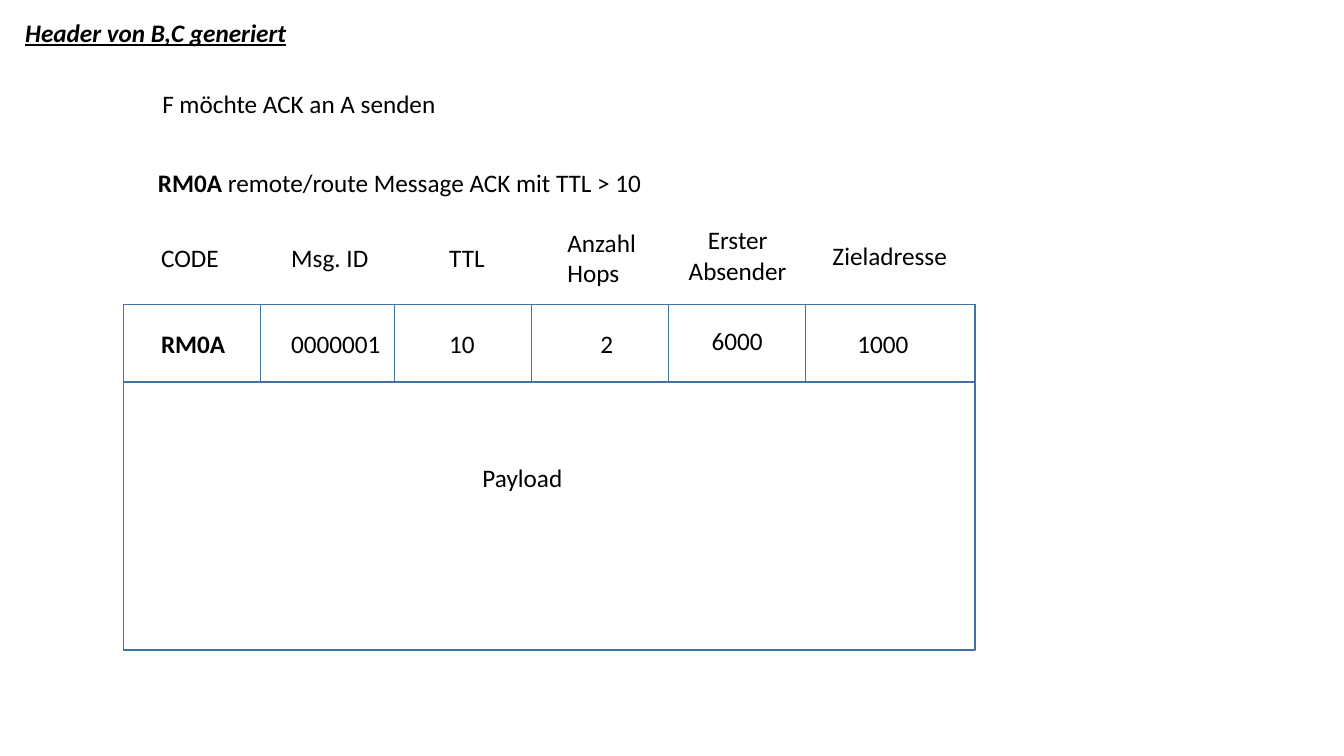
import pptx
import pptx.util
import pptx.dml.color
import pptx.enum.shapes
import pptx.enum.text

COLOURS = {"border": "43739E", "text": "000000"}
ALIGN = pptx.enum.text.PP_ALIGN


def cm(*lengths):
    return [pptx.util.Cm(length) for length in lengths]


def colour(name):
    return pptx.dml.color.RGBColor.from_string(COLOURS[name])


def write(paragraph, text, bold=False, italic=False, underline=False, align=ALIGN.LEFT):
    paragraph.alignment = align
    run = paragraph.add_run()
    run.text = text
    font = run.font
    font.name, font.size = "Calibri", pptx.util.Pt(18)
    font.bold, font.italic, font.underline = bold, italic, underline
    font.color.rgb = colour("text")


class MessageSlide:
    line_width = pptx.util.Pt(1)
    text_height = 1.02

    def __init__(self, presentation):
        self.slide = presentation.slides.add_slide(presentation.slide_layouts[5])

    def title(self, text, left, top, width):
        heading = self.slide.shapes.title
        heading.left, heading.top, heading.width, heading.height = cm(left, top, width, self.text_height)
        frame = heading.text_frame
        frame.auto_size = pptx.enum.text.MSO_AUTO_SIZE.NONE
        frame.vertical_anchor = pptx.enum.text.MSO_ANCHOR.TOP
        write(frame.paragraphs[0], text, bold=True, italic=True, underline=True)

    def box(self, left, top, width, height):
        field = self.slide.shapes.add_shape(
            pptx.enum.shapes.MSO_SHAPE.RECTANGLE, *cm(left, top, width, height))
        field.shadow.inherit = False
        field.fill.background()
        field.line.color.rgb = colour("border")
        field.line.width = self.line_width

    def label(self, lines, left, top, width, wrap=False, **style):
        """Each line is a list of (text, bold) parts."""
        height = self.text_height + 0.78 * (len(lines) - 1)
        frame = self.slide.shapes.add_textbox(*cm(left, top, width, height)).text_frame
        frame.word_wrap = wrap
        frame.auto_size = pptx.enum.text.MSO_AUTO_SIZE.SHAPE_TO_FIT_TEXT
        for index, parts in enumerate(lines):
            paragraph = frame.add_paragraph() if index else frame.paragraphs[0]
            for text, bold in parts:
                write(paragraph, text, bold=bold, **style)


def main():
    presentation = pptx.Presentation()
    presentation.slide_width, presentation.slide_height = cm(33.87, 19.05)
    message = MessageSlide(presentation)

    # Heading and explanation
    message.title("Header von B,C generiert", 0.38, 0.3, 8.33)
    message.label([[("F möchte ACK an A senden", False)]], 3.84, 2.11, 12.24, wrap=True)
    message.label([[("RM0A ", True), ("remote/route Message ACK mit TTL > 10", False)]],
                  3.73, 4.09, 14.71, wrap=True)

    # Message frame, header row and header fields
    left, top, header_height = 3.12, 7.67, 1.96
    field_widths = [3.45, 3.38, 3.45, 3.45, 3.45, 4.27]
    message.box(left, top, sum(field_widths), 8.71)
    message.box(left, top, sum(field_widths), header_height)
    field_left = left
    for width in field_widths:
        message.box(field_left, top, width, header_height)
        field_left += width

    # Field names above the header: lines, left, top, width, alignment
    names = [
        (["CODE"], 3.81, 5.99, 1.98, ALIGN.LEFT),
        (["Msg. ID"], 7.09, 5.99, 2.49, ALIGN.LEFT),
        (["TTL"], 11.07, 5.99, 1.42, ALIGN.LEFT),
        (["Anzahl", "Hops"], 14.05, 5.61, 2.26, ALIGN.LEFT),
        (["Erster", "Absender"], 17.09, 5.54, 3.0, ALIGN.CENTER),
        (["Zieladresse"], 20.73, 5.92, 3.43, ALIGN.LEFT),
    ]
    # Field values and payload
    values = [
        (["RM0A"], 3.81, 8.15, 2.16, ALIGN.LEFT),
        (["0000001"], 7.09, 8.15, 2.79, ALIGN.LEFT),
        (["10"], 11.07, 8.15, 1.17, ALIGN.LEFT),
        (["2"], 14.88, 8.15, 0.84, ALIGN.LEFT),
        (["6000"], 17.68, 8.08, 1.8, ALIGN.CENTER),
        (["1000"], 21.36, 8.15, 1.8, ALIGN.LEFT),
        (["Payload"], 11.91, 11.53, 2.54, ALIGN.LEFT),
    ]
    for lines, label_left, label_top, width, align in names + values:
        message.label([[(line, line == "RM0A")] for line in lines],
                      label_left, label_top, width, align=align)

    presentation.save("out.pptx")


if __name__ == "__main__":
    main()
